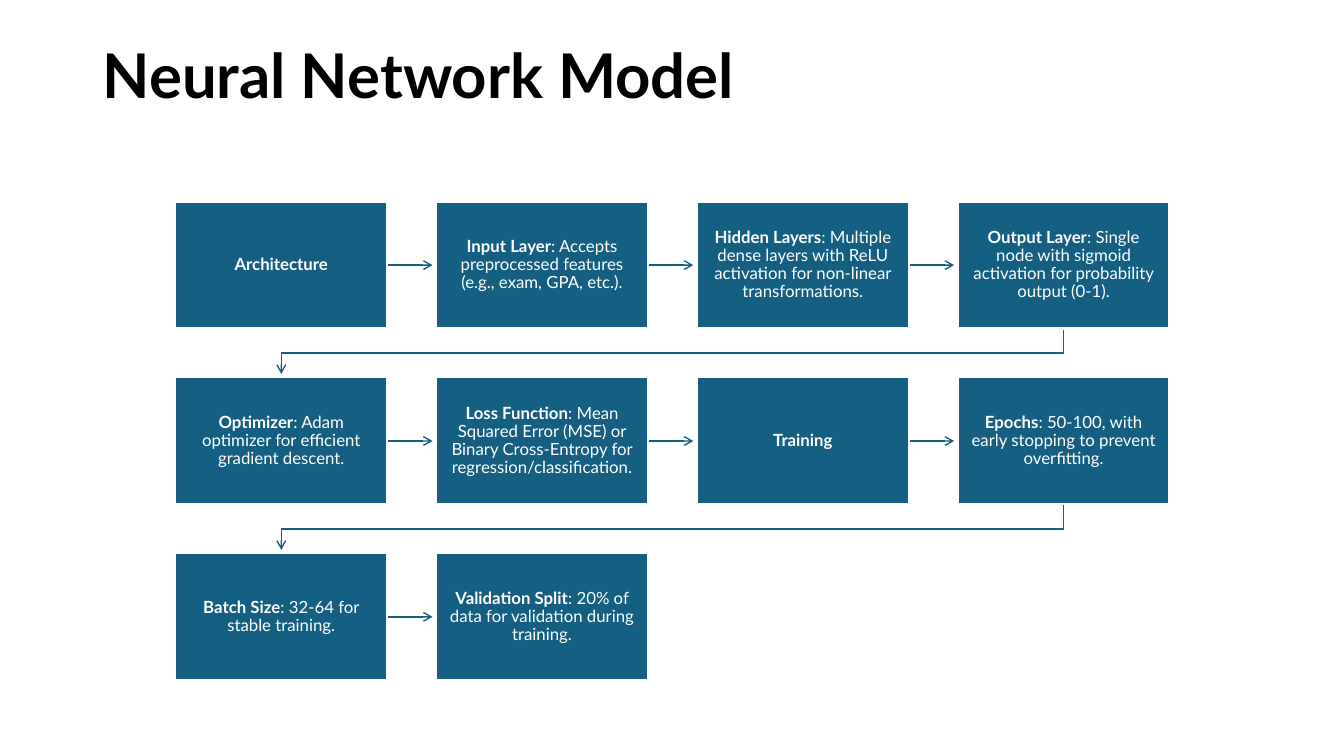
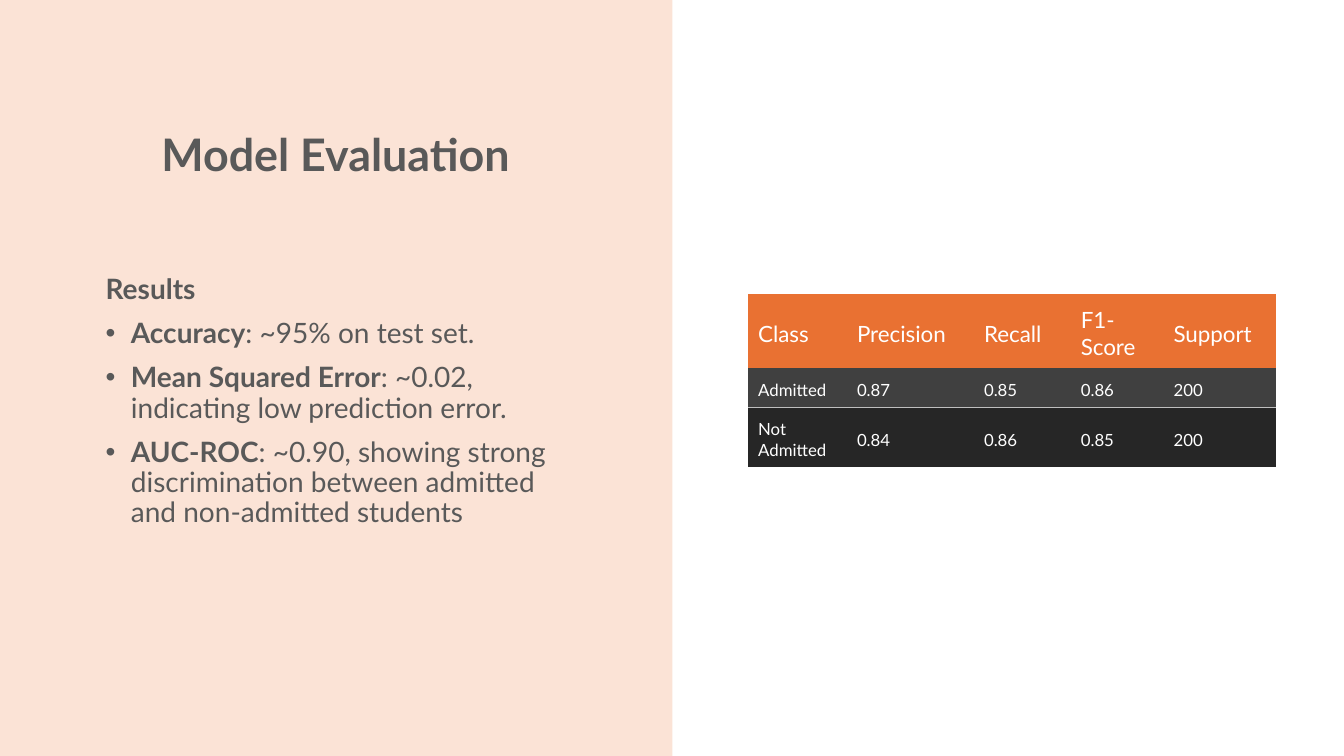
from dataclasses import dataclass

from lxml import etree
from pptx import Presentation
from pptx.dml.color import RGBColor
from pptx.enum.shapes import MSO_CONNECTOR, MSO_SHAPE
from pptx.enum.text import MSO_ANCHOR, PP_ALIGN
from pptx.oxml.ns import qn
from pptx.util import Inches, Pt

RECTANGLE = MSO_SHAPE.RECTANGLE
STRAIGHT = MSO_CONNECTOR.STRAIGHT
TOP, MIDDLE = MSO_ANCHOR.TOP, MSO_ANCHOR.MIDDLE
LEFT, CENTER = PP_ALIGN.LEFT, PP_ALIGN.CENTER

FONT = "Lato"
COLORS = {
    "white": "FFFFFF",
    "black": "000000",
    "blue": "156082",
    "peach": "FBE3D6",
    "gray": "595959",
    "orange": "E97132",
    "dark": "404040",
    "darker": "262626",
    "rule": "BFBFBF",
}
PLAIN_TABLE_STYLE = "{2D5ABB26-0587-4C30-8999-92F81FD0307C}"

GRID_COLUMNS = 4
GRID_LEFT, GRID_TOP = 1.74, 2.0
COLUMN_PITCH = (9.5 - GRID_LEFT) / 3
ROW_PITCH = (5.49 - GRID_TOP) / 2
STEP_WIDTH, STEP_HEIGHT = 2.1, 1.26
ARROW_LENGTH = 0.45


@dataclass(frozen=True)
class Entry:
    label: str
    detail: str = ""


@dataclass(frozen=True)
class TextStyle:
    size: int
    color: str
    align: PP_ALIGN = LEFT
    line_spacing: float = 0.9


@dataclass(frozen=True)
class TableRow:
    cells: tuple[str, ...]
    height: float
    fill: str
    size: int
    border: str = ""


STEPS = (
    Entry("Architecture"),
    Entry("Input Layer", ": Accepts preprocessed features (e.g., exam, GPA, etc.)."),
    Entry("Hidden Layers", ": Multiple dense layers with ReLU activation for non-linear transformations."),
    Entry("Output Layer", ": Single node with sigmoid activation for probability output (0-1)."),
    Entry("Optimizer", ": Adam optimizer for efficient gradient descent."),
    Entry("Loss Function", ": Mean Squared Error (MSE) or Binary Cross-Entropy for regression/classification."),
    Entry("Training"),
    Entry("Epochs", ": 50-100, with early stopping to prevent overfitting."),
    Entry("Batch Size", ": 32-64 for stable training."),
    Entry("Validation Split", ": 20% of data for validation during training."),
)
RESULTS = (
    Entry("Results"),
    Entry("Accuracy", ": ~95% on test set."),
    Entry("Mean Squared Error", ": ~0.02, indicating low prediction error."),
    Entry("AUC-ROC", ": ~0.90, showing strong discrimination between admitted and non-admitted students"),
)
COLUMN_WIDTHS = (0.98, 1.26, 0.96, 0.92, 1.12)
TABLE_ROWS = (
    TableRow(("Class", "Precision", "Recall", "F1-Score", "Support"), 0.73, "orange", 16),
    TableRow(("Admitted", "0.87", "0.85", "0.86", "200"), 0.39, "dark", 12, "a:lnB"),
    TableRow(("Not Admitted", "0.84", "0.86", "0.85", "200"), 0.59, "darker", 12, "a:lnT"),
)


def color(name: str) -> RGBColor:
    return RGBColor.from_string(COLORS[name])


def add_span(para, text: str, style: TextStyle, bold: bool) -> None:
    span = para.add_run()
    span.text = text
    span.font.name = FONT
    span.font.size = Pt(style.size)
    span.font.bold = bold
    span.font.color.rgb = color(style.color)


def write_entry(para, entry: Entry, style: TextStyle) -> None:
    para.alignment = style.align
    para.line_spacing = style.line_spacing
    add_span(para, entry.label, style, True)
    if entry.detail:
        add_span(para, entry.detail, style, False)


def add_text_box(page, left: float, top: float, width: float, height: float, anchor: MSO_ANCHOR):
    box = page.shapes.add_textbox(Inches(left), Inches(top), Inches(width), Inches(height))
    box.text_frame.word_wrap = True
    box.text_frame.vertical_anchor = anchor
    return box.text_frame


def add_title(page, text: str, bounds: tuple[float, float, float, float],
              anchor: MSO_ANCHOR, style: TextStyle) -> None:
    frame = add_text_box(page, *bounds, anchor)
    write_entry(frame.paragraphs[0], Entry(text), style)


def add_rectangle(page, left: float, top: float, width: float, height: float, fill: str):
    box = page.shapes.add_shape(RECTANGLE, Inches(left), Inches(top), Inches(width), Inches(height))
    box.shadow.inherit = False
    box.fill.solid()
    box.fill.fore_color.rgb = color(fill)
    box.line.fill.background()
    return box


def step_corner(index: int) -> tuple[float, float]:
    row, column = divmod(index, GRID_COLUMNS)
    return GRID_LEFT + column * COLUMN_PITCH, GRID_TOP + row * ROW_PITCH


def add_arrow(page, index: int) -> None:
    left, top = step_corner(index)
    if (index + 1) % GRID_COLUMNS:
        start = left + STEP_WIDTH
        middle = Inches(top + STEP_HEIGHT / 2)
        arrow = page.shapes.add_connector(
            STRAIGHT, Inches(start), middle, Inches(start + ARROW_LENGTH), middle)
    else:
        start_x = Inches(left + STEP_WIDTH / 2)
        end_x = Inches(GRID_LEFT + STEP_WIDTH / 2)
        bottom = top + STEP_HEIGHT
        turn = Inches(bottom + (ROW_PITCH - STEP_HEIGHT) / 2)
        outline = page.shapes.build_freeform(start_x, Inches(bottom))
        outline.add_line_segments(
            [(start_x, turn), (end_x, turn), (end_x, Inches(bottom + ARROW_LENGTH))], close=False)
        arrow = outline.convert_to_shape()
        arrow.fill.background()
    arrow.line.color.rgb = color("blue")
    arrow.line.width = Pt(1)
    properties = arrow.element.spPr
    etree.SubElement(properties.find(qn("a:ln")), qn("a:tailEnd"), type="arrow")
    etree.SubElement(properties, qn("a:effectLst"))


def add_step(page, index: int, entry: Entry) -> None:
    box = add_rectangle(page, *step_corner(index), STEP_WIDTH, STEP_HEIGHT, "blue")
    box.line.color.rgb = color("white")
    box.line.width = Pt(1.5)
    frame = box.text_frame
    frame.word_wrap = True
    frame.vertical_anchor = MIDDLE
    frame.margin_left = frame.margin_right = Inches(0.1)
    frame.margin_top = frame.margin_bottom = Inches(0.11)
    write_entry(frame.paragraphs[0], entry, TextStyle(12, "white", CENTER))


def add_results(page) -> None:
    frame = add_text_box(page, 0.95, 2.68, 4.76, 4.12, TOP)
    for index, entry in enumerate(RESULTS):
        para = frame.add_paragraph() if index else frame.paragraphs[0]
        write_entry(para, entry, TextStyle(20, "gray"))
        para.space_before = Pt(10)
        properties = para._p.get_or_add_pPr()
        properties.set("marL", str(Inches(0.25)))
        properties.set("indent", str(-Inches(0.25)))
        if entry.detail:
            etree.SubElement(properties, qn("a:buFont"), typeface="Arial")
            etree.SubElement(properties, qn("a:buChar"), char="•")


def add_cell_border(cell, side: str) -> None:
    border = etree.Element(qn(side), w=str(Pt(1)))
    fill = etree.SubElement(border, qn("a:solidFill"))
    etree.SubElement(fill, qn("a:srgbClr"), val=COLORS["rule"])
    cell._tc.get_or_add_tcPr().insert(0, border)


def fill_cell(cell, text: str, row: TableRow) -> None:
    cell.fill.solid()
    cell.fill.fore_color.rgb = color(row.fill)
    cell.vertical_anchor = MIDDLE
    cell.margin_left = cell.margin_right = cell.margin_top = Inches(0.1)
    cell.margin_bottom = Inches(0.05)
    add_span(cell.text_frame.paragraphs[0], text, TextStyle(row.size, "white"), False)
    if row.border:
        add_cell_border(cell, row.border)


def add_scores(page) -> None:
    holder = page.shapes.add_table(
        len(TABLE_ROWS), len(COLUMN_WIDTHS), Inches(7.42), Inches(2.92),
        Inches(sum(COLUMN_WIDTHS)), Inches(sum(row.height for row in TABLE_ROWS)))
    for style in holder.element.iter(qn("a:tableStyleId")):
        style.text = PLAIN_TABLE_STYLE
    table = holder.table
    table.first_row = table.horz_banding = False
    for column, width in zip(table.columns, COLUMN_WIDTHS):
        column.width = Inches(width)
    for table_row, row in zip(table.rows, TABLE_ROWS):
        table_row.height = Inches(row.height)
        for cell, text in zip(table_row.cells, row.cells):
            fill_cell(cell, text, row)


def build_network_page(page) -> None:
    add_title(page, "Neural Network Model", (0.92, 0.4, 11.5, 1.45), TOP, TextStyle(44, "black"))
    for index in range(len(STEPS) - 1):
        add_arrow(page, index)
    for index, entry in enumerate(STEPS):
        add_step(page, index, entry)


def build_evaluation_page(page) -> None:
    add_rectangle(page, 0, 0, 6.67, 7.5, "peach")
    add_title(page, "Model Evaluation", (0.95, 0.75, 4.76, 1.61), MIDDLE,
              TextStyle(32, "gray", CENTER))
    add_results(page)
    add_scores(page)


def main() -> None:
    deck = Presentation()
    deck.slide_width = Inches(13.33)
    deck.slide_height = Inches(7.5)
    blank = deck.slide_layouts[6]
    for build_page in (build_network_page, build_evaluation_page):
        build_page(deck.slides.add_slide(blank))
    deck.save("out.pptx")


if __name__ == "__main__":
    main()
